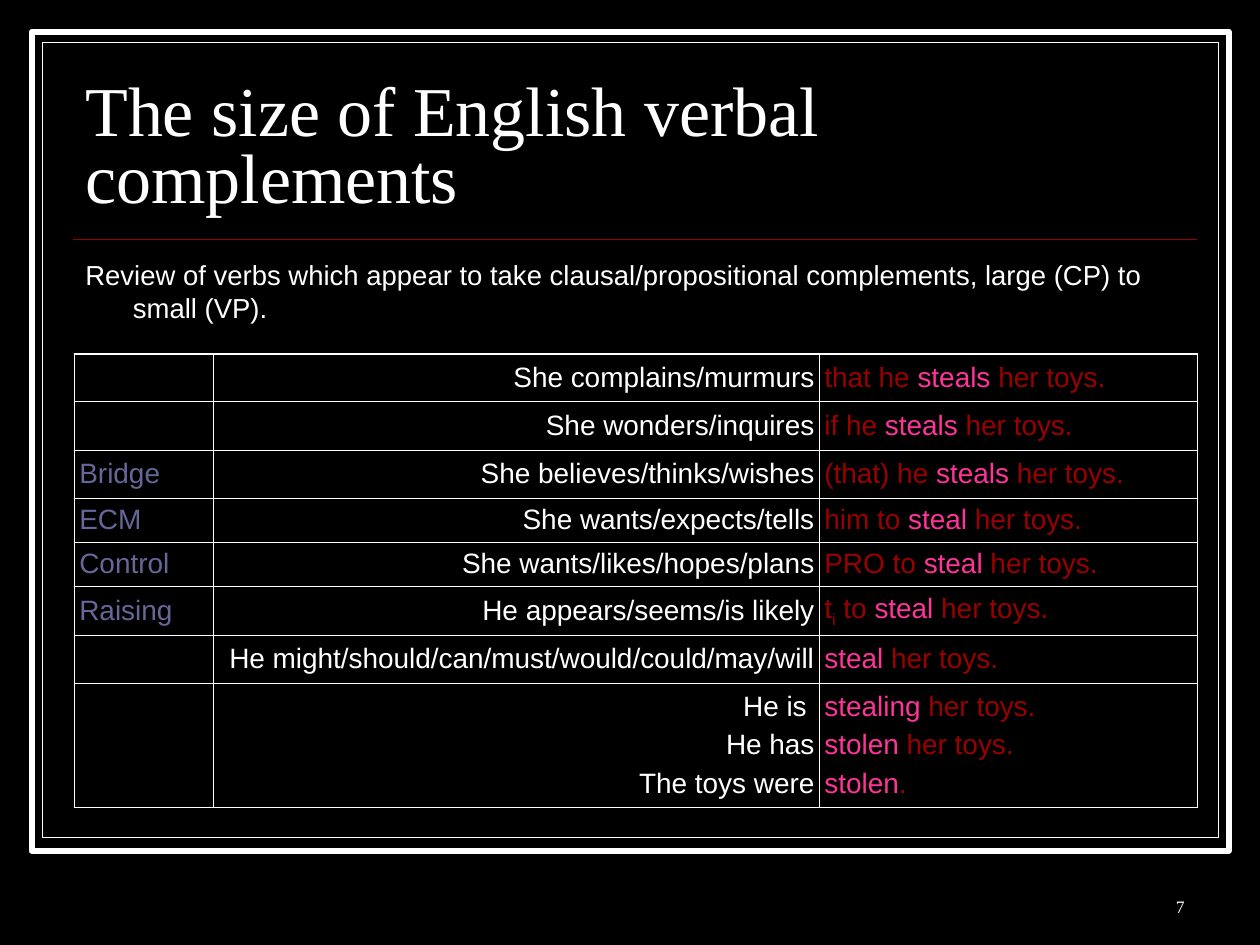
import dataclasses

import pptx
import pptx.dml.color
import pptx.enum.shapes
import pptx.enum.text
import pptx.oxml
import pptx.oxml.ns
import pptx.util
from pptx.util import Cm

ALIGN = pptx.enum.text.PP_ALIGN
ANCHOR = pptx.enum.text.MSO_ANCHOR


@dataclasses.dataclass(frozen=True)
class Theme:
    background: str = "000000"
    text: str = "FFFFFF"
    accent: str = "990000"
    verb: str = "FF3399"
    label: str = "666699"
    serif: str = "Times New Roman"
    sans: str = "Arial"
    title_size: float = 40
    body_size: float = 15.7
    table_size: float = 16
    number_size: float = 10
    inner_border: float = 0.45
    outer_border: float = 1.08


THEME = Theme()
TITLE = "The size of English verbal complements"
REVIEW = ("Review of verbs which appear to take clausal/propositional "
          "complements, large (CP) to small (VP).")
TOYS = " her toys."
COLUMN_WIDTHS = (2.8, 12.22, 7.62)
TALL, SHORT, TRIPLE = 0.97, 0.89, 2.51

# Row height, label, then (subject, before verb, subscript, verb, after verb) lines.
ROWS = [
    (TALL, "", [("She complains/murmurs", "that he ", "", "steals", TOYS)]),
    (TALL, "", [("She wonders/inquires", "if he ", "", "steals", TOYS)]),
    (TALL, "Bridge", [("She believes/thinks/wishes", "(that) he ", "", "steals", TOYS)]),
    (SHORT, "ECM", [("She wants/expects/tells", "him to ", "", "steal", TOYS)]),
    (SHORT, "Control", [("She wants/likes/hopes/plans", "PRO to ", "", "steal", TOYS)]),
    (TALL, "Raising", [("He appears/seems/is likely", "t", "i", "steal", TOYS)]),
    (TALL, "", [("He might/should/can/must/would/could/may/will", "", "", "steal", TOYS)]),
    (TRIPLE, "", [("He is ", "", "", "stealing", TOYS),
                  ("He has", "", "", "stolen", TOYS),
                  ("The toys were", "", "", "stolen", ".")]),
]


def rgb(color):
    return pptx.dml.color.RGBColor.from_string(color)


def apply_format(target, values):
    for name, value in values.items():
        setattr(target, name, value)


def add_xml(parent, body):
    namespaces = pptx.oxml.ns.nsdecls("a")
    tag, rest = body[1:].split(">", 1)
    closing = "/" if tag.endswith("/") else ""
    xml = f"<{tag.rstrip('/')} {namespaces}{closing}>{rest}"
    parent.append(pptx.oxml.parse_xml(xml))


def add_run(paragraph, text, size, color, name, baseline=0):
    run = paragraph.add_run()
    run.text = text
    apply_format(run.font, {"size": pptx.util.Pt(size), "name": name, "bold": False})
    run.font.color.rgb = rgb(color)
    if baseline:
        run._r.get_or_add_rPr().set("baseline", str(baseline))


def place(shape, left, top, width, height):
    apply_format(shape, {"left": Cm(left), "top": Cm(top),
                         "width": Cm(width), "height": Cm(height)})


def fill_text(shape, text, size, name, anchor, paragraph_format):
    """Writes one white paragraph into a shape and returns it."""
    frame = shape.text_frame
    apply_format(frame, {
        "word_wrap": True, "auto_size": pptx.enum.text.MSO_AUTO_SIZE.NONE,
        "vertical_anchor": anchor,
        "margin_left": Cm(0.25), "margin_right": Cm(0.25),
        "margin_top": Cm(0.13), "margin_bottom": Cm(0.13)})
    paragraph = frame.paragraphs[0]
    apply_format(paragraph, {"space_before": pptx.util.Pt(0), **paragraph_format})
    add_run(paragraph, text, size, THEME.text, name)
    return paragraph


def add_frame(slide, inset, width, height, line_width):
    rectangle = slide.shapes.add_shape(
        pptx.enum.shapes.MSO_SHAPE.RECTANGLE,
        Cm(inset), Cm(inset), Cm(width), Cm(height))
    rectangle.shadow.inherit = False
    rectangle.fill.solid()
    rectangle.fill.fore_color.rgb = rgb(THEME.background)
    rectangle.line.color.rgb = rgb(THEME.text)
    rectangle.line.width = pptx.util.Pt(line_width)


def add_rule(slide, left, right, top):
    rule = slide.shapes.add_connector(
        pptx.enum.shapes.MSO_CONNECTOR.STRAIGHT, Cm(left), Cm(top), Cm(right), Cm(top))
    rule.line.color.rgb = rgb(THEME.accent)
    rule.line.width = pptx.util.Pt(1)
    add_xml(rule.element.spPr, "<a:effectLst/>")


def format_cell(cell, outer_sides):
    properties = cell._tc.get_or_add_tcPr()
    for side in "LRTB":
        points = THEME.outer_border if side in outer_sides else THEME.inner_border
        add_xml(properties,
                f'<a:ln{side} w="{pptx.util.Pt(points)}"><a:solidFill>'
                f'<a:srgbClr val="{THEME.text}"/></a:solidFill></a:ln{side}>')
    cell.fill.background()
    apply_format(cell, {
        "vertical_anchor": ANCHOR.MIDDLE,
        "margin_left": Cm(0.1), "margin_right": Cm(0.1),
        "margin_top": Cm(0.13), "margin_bottom": Cm(0.13)})


def fill_cell(cell, lines, alignment=ALIGN.LEFT):
    """Writes lines of (text, color, baseline) pieces, one paragraph each."""
    for index, pieces in enumerate(lines):
        frame = cell.text_frame
        paragraph = frame.add_paragraph() if index else frame.paragraphs[0]
        paragraph.alignment = alignment
        if index:
            paragraph.space_before = pptx.util.Pt(4)
        visible = [piece for piece in pieces if piece[0]]
        for text, color, baseline in visible:
            add_run(paragraph, text, THEME.table_size, color, THEME.sans, baseline)
        if not visible:
            add_xml(paragraph._p, f'<a:endParaRPr sz="{THEME.table_size * 100}"/>')


def clause_pieces(before, subscript, verb, after):
    pieces = [(before, THEME.accent, 0)]
    if subscript:
        pieces += [(subscript, THEME.accent, -25000), (" to ", THEME.accent, 0)]
    return pieces + [(verb, THEME.verb, 0), (after, THEME.accent, 0)]


def add_complement_table(slide, left, top):
    heights = [row[0] for row in ROWS]
    table = slide.shapes.add_table(
        len(ROWS), len(COLUMN_WIDTHS), Cm(left), Cm(top),
        Cm(sum(COLUMN_WIDTHS)), Cm(sum(heights))).table
    apply_format(table, {"first_row": False, "horz_banding": False})
    for column, width in zip(table.columns, COLUMN_WIDTHS):
        column.width = Cm(width)
    for index, (height, label, lines) in enumerate(ROWS):
        table.rows[index].height = Cm(height)
        edge = {0: "T", len(ROWS) - 1: "B"}.get(index, "")
        cells = [table.cell(index, column) for column in range(len(COLUMN_WIDTHS))]
        for cell, side in zip(cells, ("L", "", "R")):
            format_cell(cell, side + edge)
        fill_cell(cells[0], [[(label, THEME.label, 0)]])
        fill_cell(cells[1], [[(line[0], THEME.text, 0)] for line in lines], ALIGN.RIGHT)
        fill_cell(cells[2], [clause_pieces(*line[1:]) for line in lines])


def add_title(slide):
    title = slide.shapes.title
    place(title, 1.47, 1.32, 22.66, 3.18)
    fill_text(title, TITLE, THEME.title_size, THEME.serif, ANCHOR.BOTTOM,
              {"alignment": ALIGN.LEFT, "line_spacing": 0.8})
    slide.shapes.element.append(title.element)


def add_review(slide):
    body = slide.placeholders[1]
    place(body, 1.47, 5.08, 22.66, 1.65)
    paragraph = fill_text(body, REVIEW, THEME.body_size, THEME.sans, ANCHOR.TOP,
                          {"alignment": ALIGN.LEFT})
    properties = paragraph._p.get_or_add_pPr()
    properties.set("marL", str(Cm(0.96)))
    properties.set("indent", str(-Cm(0.96)))
    add_xml(properties, "<a:buNone/>")
    slide.shapes.element.append(body.element)


def add_slide_number(slide):
    box = slide.shapes.add_textbox(Cm(18.85), Cm(17.35), Cm(5.28), Cm(1.27))
    fill_text(box, "7", THEME.number_size, THEME.serif, ANCHOR.BOTTOM,
              {"alignment": ALIGN.RIGHT})


def main():
    presentation = pptx.Presentation()
    apply_format(presentation, {"slide_width": Cm(25.4), "slide_height": Cm(19.05)})
    slide = presentation.slides.add_slide(presentation.slide_layouts[1])
    slide.background.fill.solid()
    slide.background.fill.fore_color.rgb = rgb(THEME.background)
    add_frame(slide, 0.64, 24.13, 16.51, 3.5)
    add_frame(slide, 0.86, 23.7, 16.03, 0.75)
    add_rule(slide, 1.47, 24.13, 4.83)
    add_title(slide)
    add_complement_table(slide, 1.5, 7.13)
    add_review(slide)
    add_slide_number(slide)
    presentation.save("out.pptx")


if __name__ == "__main__":
    main()
